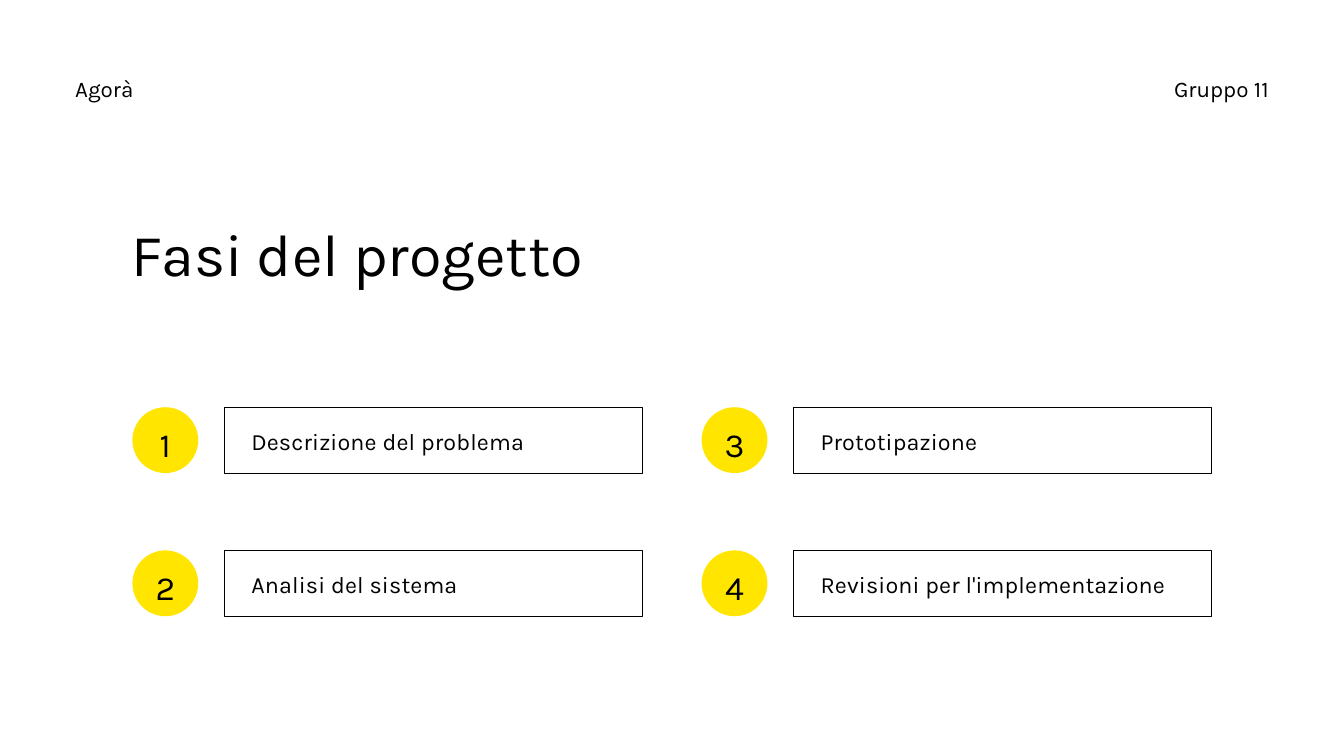
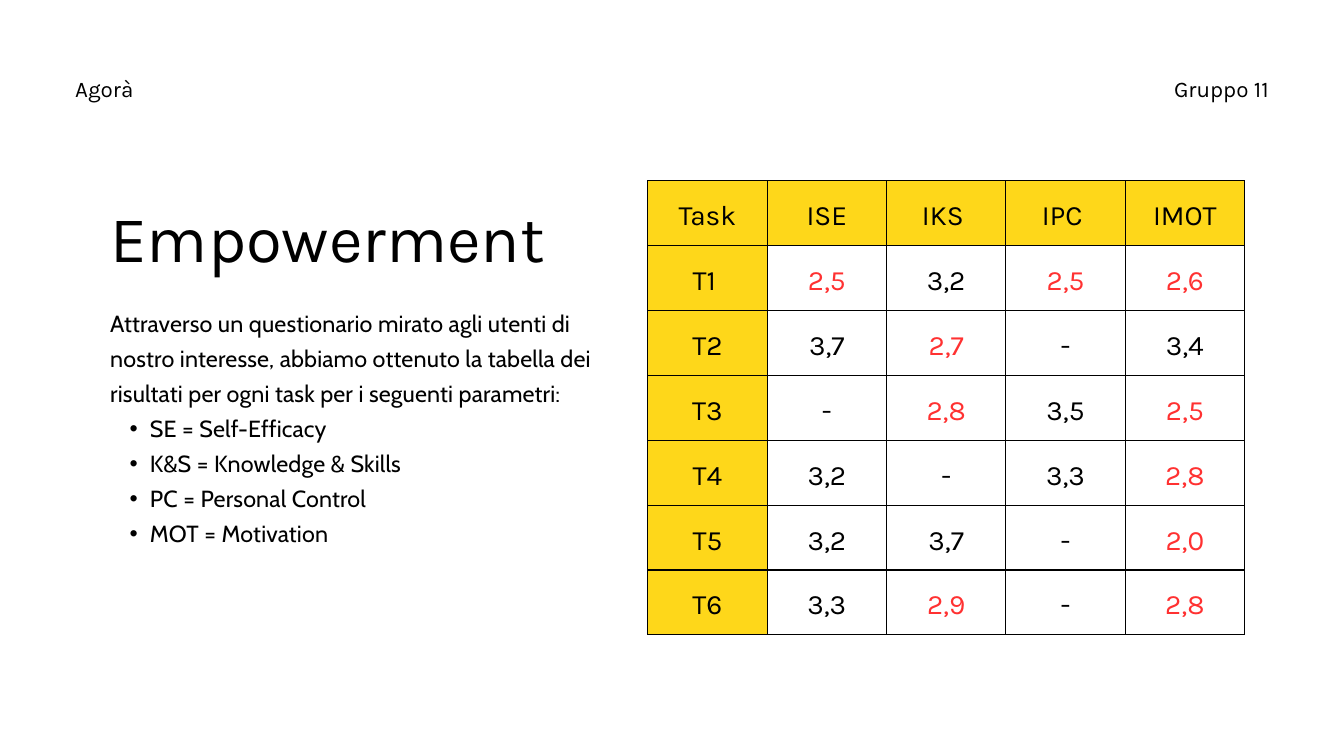
from lxml.etree import SubElement as Sub
from pptx import Presentation
from pptx.dml.color import RGBColor
from pptx.enum.shapes import MSO_SHAPE as Shape
from pptx.enum.text import MSO_ANCHOR as Anchor, MSO_AUTO_SIZE as Auto, PP_ALIGN as Align
from pptx.oxml.ns import qn
from pptx.util import Inches, Pt

HUES = {"ink": "000000", "page": "FFFFFF", "disc": "FFE500",
        "head": "FED71A", "low": "FF3131"}
STEPS = ["Descrizione del problema", "Analisi del sistema",
         "Prototipazione", "Revisioni per l'implementazione"]
INTRO = ("Attraverso un questionario mirato agli utenti di nostro interesse, "
         "abbiamo ottenuto la tabella dei risultati per ogni task per i "
         "seguenti parametri:")
TERMS = ["SE = Self-Efficacy", "K&S = Knowledge & Skills",
         "PC = Personal Control", "MOT = Motivation"]
SCORES = [
    ["Task", "ISE", "IKS ", "IPC ", "IMOT"],
    ["T1 ", "2,5", "3,2", "2,5", "2,6"],
    ["T2", "3,7", "2,7", "-", "3,4"],
    ["T3", "-", "2,8", "3,5", "2,5"],
    ["T4", "3,2", "-", "3,3", "2,8"],
    ["T5", "3,2", "3,7", "-", "2,0"],
    ["T6", "3,3", "2,9", "-", "2,8"],
]
LIMIT = 3.0  # scores below this are red


def hue(name):
    return RGBColor.from_string(HUES[name])


def style(par, size, lead, align=Align.LEFT, face="Karla", ink="ink", track=0):
    """Format a paragraph and its runs."""
    par.alignment = align
    par.line_spacing = Pt(lead)
    for run in par.runs:
        run.font.size = Pt(size)
        run.font.name = face
        run.font.color.rgb = hue(ink)
        if track:
            run.font._element.set("spc", str(track))


def set_frame(shape, anchor=Anchor.TOP, left=0, bottom=0):
    frame = shape.text_frame
    frame.word_wrap = True
    frame.auto_size = Auto.NONE
    frame.vertical_anchor = anchor
    frame.margin_left, frame.margin_bottom = Inches(left), Inches(bottom)
    frame.margin_top = frame.margin_right = 0
    return frame


def add_text(slide, box, text, size, lead, **look):
    frame = set_frame(slide.shapes.add_textbox(*map(Inches, box)))
    frame.text = text
    for par in frame.paragraphs:
        style(par, size, lead, **look)
    return frame


def add_block(slide, kind, box, text, fill=None, line=None, **inset):
    """Add a preset shape with its text centred in height."""
    shape = slide.shapes.add_shape(kind, *map(Inches, box))
    shape.shadow.inherit = False
    if fill:
        shape.fill.solid()
        shape.fill.fore_color.rgb = hue(fill)
    else:
        shape.fill.background()
    if line:
        shape.line.color.rgb = hue(line)
        shape.line.width = Pt(0.75)
    else:
        shape.line.fill.background()
    frame = set_frame(shape, Anchor.MIDDLE, **inset)
    frame.text = text
    return frame.paragraphs[0]


def new_slide(deck, title, box, size, lead):
    """Start a slide with the shared header and a title."""
    slide = deck.slides.add_slide(deck.slide_layouts[5])
    slide.background.fill.solid()
    slide.background.fill.fore_color.rgb = hue("page")
    head = slide.shapes.title
    head.left, head.top, head.width, head.height = map(Inches, box)
    frame = set_frame(head)
    frame.text = title
    style(frame.paragraphs[0], size, lead)
    add_text(slide, (1.12, 1.12, 4.3, 0.4), "Agorà", 24, 28.8)
    add_text(slide, (14.58, 1.12, 4.3, 0.4), "Gruppo 11", 24, 28.8,
             align=Align.RIGHT)
    return slide


def add_step(slide, left, top, num, text):
    """Place a numbered disc and its framed label."""
    high = 0.98
    par = add_block(slide, Shape.OVAL, (left, top, high, high), str(num), fill="disc")
    style(par, 36.2, 50.7, Align.CENTER)
    par = add_block(slide, Shape.RECTANGLE, (left + 1.37, top, 6.22, high), text,
                    line="ink", left=0.4, bottom=0.05)
    style(par, 25, 35, track=20)


def add_grid(slide, left, top):
    """Fill the steps column by column, two to a column."""
    for i, text in enumerate(STEPS):
        col, row = divmod(i, 2)
        add_step(slide, left + col * 8.47, top + row * 2.13, i + 1, text)


def add_notes(slide, box):
    """Intro with a bulleted list of terms."""
    frame = add_text(slide, box, INTRO, 25, 37.5, face="Cabin", track=20)
    for term in TERMS:
        par = frame.add_paragraph()
        par.text = term
        par.level = 1
        props = par._p.get_or_add_pPr()
        props.set("marL", str(Inches(0.59)))
        props.set("indent", str(Inches(-0.3)))
        Sub(props, qn("a:buFont"), typeface="Arial")
        Sub(props, qn("a:buChar"), char="•")
        style(par, 25, 37.5, face="Cabin", track=20)


def add_edges(cell):
    props = cell._tc.get_or_add_tcPr()
    for side in ("lnL", "lnR", "lnT", "lnB"):
        line = Sub(props, qn(f"a:{side}"), w=str(Pt(1.5)))
        Sub(Sub(line, qn("a:solidFill")), qn("a:srgbClr"), val=HUES["ink"])


def is_low(text):
    return "," in text and float(text.replace(",", ".")) < LIMIT


def add_scores(slide, box):
    """Table of scores with a yellow first row and column."""
    rows, cols = len(SCORES), len(SCORES[0])
    table = slide.shapes.add_table(rows, cols, *map(Inches, box)).table
    table.first_row = table.horz_banding = False
    for col in table.columns:
        col.width = Inches(box[2] / cols)
    for r, line in enumerate(SCORES):
        table.rows[r].height = Inches(box[3] / rows)
        for c, text in enumerate(line):
            cell = table.cell(r, c)
            cell.text = text
            cell.vertical_anchor = Anchor.MIDDLE
            cell.margin_left = cell.margin_right = Inches(0.12)
            cell.margin_top = cell.margin_bottom = Inches(0.12)
            add_edges(cell)
            if r == 0 or c == 0:
                cell.fill.solid()
                cell.fill.fore_color.rgb = hue("head")
            else:
                cell.fill.background()
            style(cell.text_frame.paragraphs[0], 30, 42, Align.CENTER,
                  ink="low" if is_low(text) else "ink")


def main():
    deck = Presentation()
    deck.slide_width, deck.slide_height = Inches(20), Inches(11.25)

    # Project phases
    slide = new_slide(deck, "Fasi del progetto", (1.96, 3.32, 9.46, 0.98), 63.6, 69.9)
    add_grid(slide, 1.97, 6.06)

    # Empowerment scores
    slide = new_slide(deck, "Empowerment", (1.64, 3.03, 7.58, 1.1), 70, 77)
    add_notes(slide, (1.64, 4.5, 7.58, 4.66))
    add_scores(slide, (9.64, 2.69, 8.88, 6.76))

    deck.save("out.pptx")


if __name__ == "__main__":
    main()
